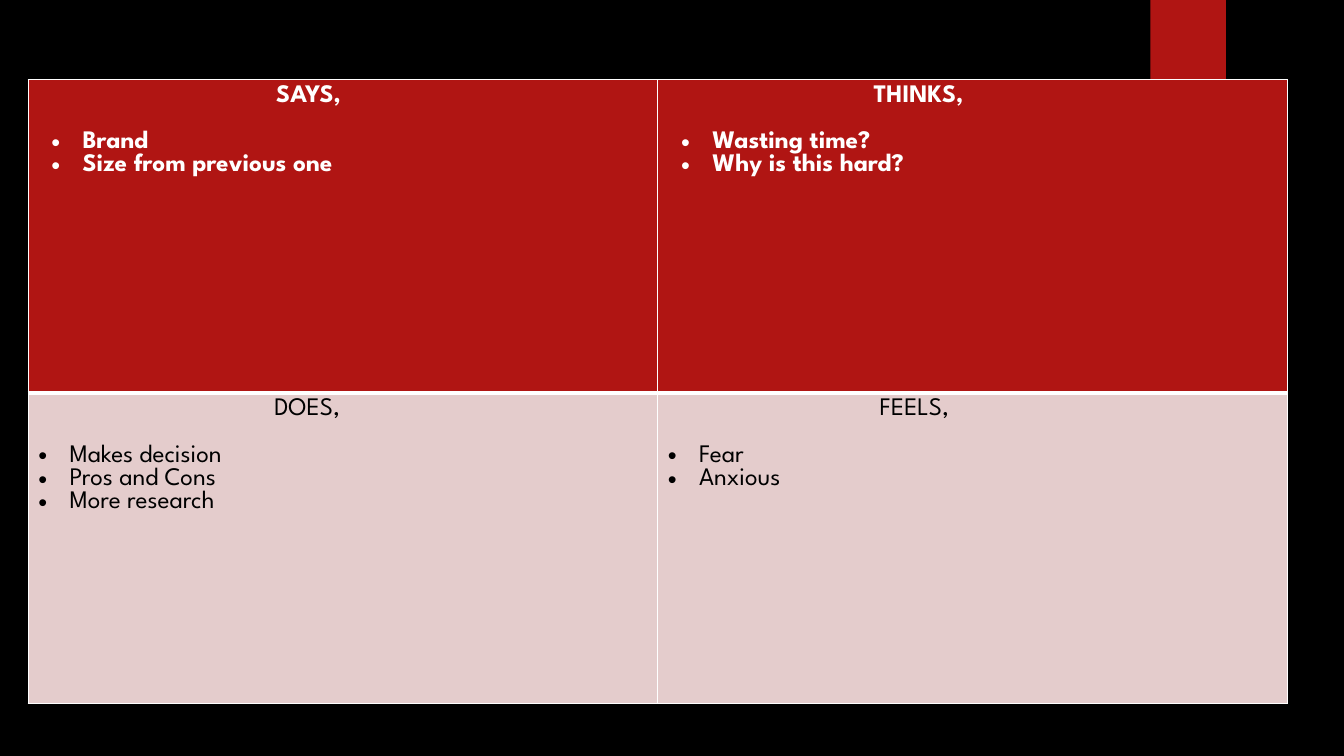
"""Build an empathy map slide: a two-by-two table of says, thinks, does and feels."""
import pptx
import pptx.util
import pptx.dml.color
import pptx.enum.shapes
import pptx.oxml
import pptx.oxml.ns

Inches, Pt = pptx.util.Inches, pptx.util.Pt

COLORS = {"black": "000000", "red": "B01513", "pink": "E4CCCC", "white": "FFFFFF"}
FONT = "League Spartan"

MAP = [
    [("SAYS,", 2.36, ["Brand", "Size from previous one"]),
     ("THINKS,", 2.04, ["Wasting time?", "Why is this hard?"])],
    [("DOES,", 2.34, ["Makes decision", "Pros and Cons", "More research"]),
     ("FEELS,", 2.1, ["Fear", "Anxious"])],
]
STYLES = [
    {"fill": "red", "text": "white", "bold": True, "left": 0.44,
     "edges": {"lnL": 1, "lnR": 1, "lnT": 1, "lnB": 3}},
    {"fill": "pink", "text": "black", "bold": False, "left": 0.31,
     "edges": {"lnL": 1, "lnR": 1, "lnT": 3, "lnB": 1}},
]
LEFT, TOP, WIDTH = 0.28, 0.79, 12.49
HEIGHTS = [3.11, 3.08]
TAB = (11.41, 0, 0.75, 1.25)
HANG = 0.31
GAP = 16.5


def color(name):
    return pptx.dml.color.RGBColor.from_string(COLORS[name])


def paint(fill, name):
    fill.solid()
    fill.fore_color.rgb = color(name)


def indent(para, left, first):
    props = para._p.get_or_add_pPr()
    props.set("marL", str(Inches(left)))
    props.set("indent", str(Inches(first)))
    return props


def bullet(para, left):
    props = indent(para, left, -HANG)
    space = pptx.oxml.ns.nsdecls("a")
    for tag in ('buFont %s typeface="Arial"', 'buChar %s char="•"'):
        props.append(pptx.oxml.parse_xml(f"<a:{tag % space}/>"))


def border(cell, edges):
    props = cell._tc.get_or_add_tcPr()
    for spot, (tag, width) in enumerate(edges.items()):
        props.insert(spot, pptx.oxml.parse_xml(
            f'<a:{tag} {pptx.oxml.ns.nsdecls("a")} w="{Pt(width)}"><a:solidFill>'
            f'<a:srgbClr val="{COLORS["white"]}"/></a:solidFill></a:{tag}>'))


def write(para, text, style):
    run = para.add_run()
    run.text = text
    looks = {"name": FONT, "size": Pt(18), "bold": style["bold"]}
    for key, value in looks.items():
        setattr(run.font, key, value)
    run.font.color.rgb = color(style["text"])


def fill_cell(cell, head, inset, items, style):
    paint(cell.fill, style["fill"])
    border(cell, style["edges"])
    frame = cell.text_frame
    para = frame.paragraphs[0]
    indent(para, inset, 0)
    para.space_after = Pt(GAP)
    write(para, head, style)
    for item in items:
        para = frame.add_paragraph()
        bullet(para, style["left"])
        write(para, item, style)


def main():
    deck = pptx.Presentation()
    deck.slide_width, deck.slide_height = Inches(13.33), Inches(7.5)
    slide = deck.slides.add_slide(deck.slide_layouts[6])
    paint(slide.background.fill, "black")

    tab = slide.shapes.add_shape(
        pptx.enum.shapes.MSO_SHAPE.RECTANGLE, *map(Inches, TAB))
    tab.shadow.inherit = False
    paint(tab.fill, "red")
    tab.line.fill.background()

    size = map(Inches, (LEFT, TOP, WIDTH, sum(HEIGHTS)))
    table = slide.shapes.add_table(len(MAP), len(MAP[0]), *size).table
    for key in ("first_row", "horz_banding"):
        setattr(table, key, False)
    for row, height in zip(table.rows, HEIGHTS):
        row.height = Inches(height)
    for row, cells, style in zip(table.rows, MAP, STYLES):
        for cell, (head, inset, items) in zip(row.cells, cells):
            fill_cell(cell, head, inset, items, style)

    deck.save("out.pptx")


if __name__ == "__main__":
    main()
